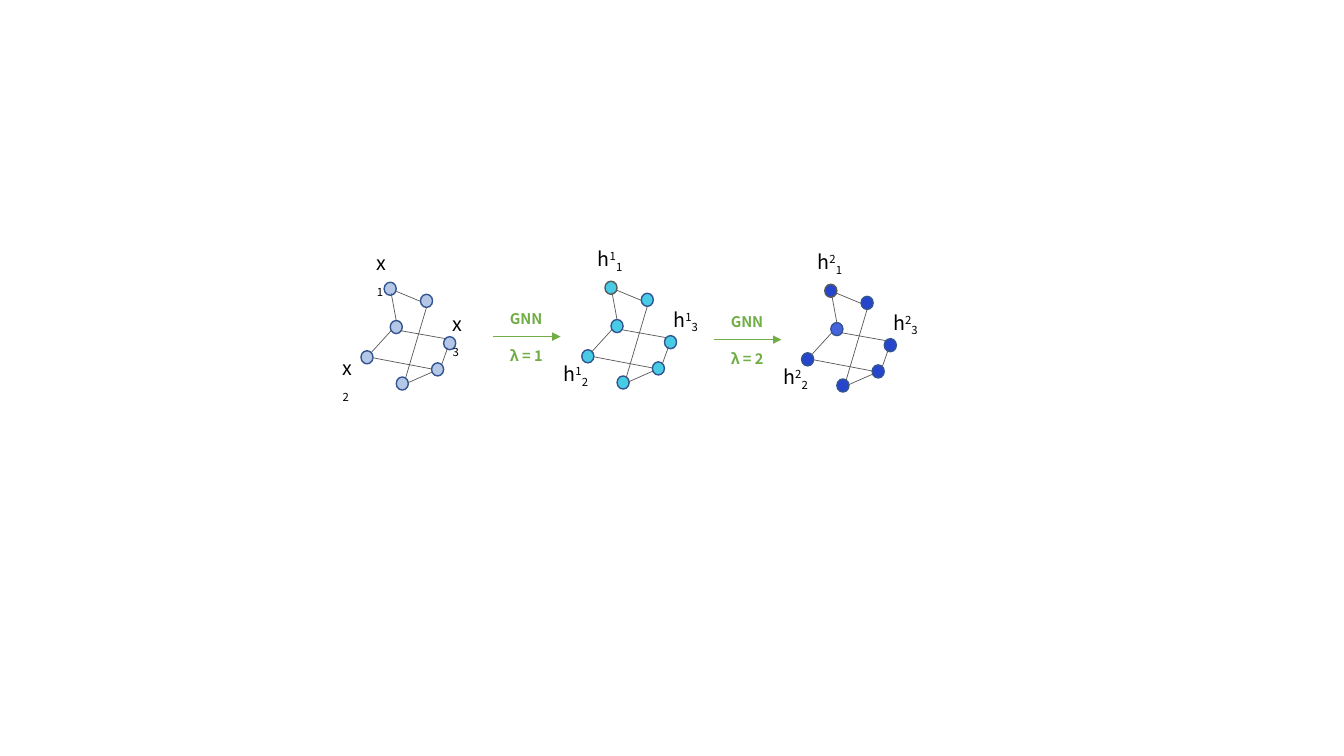
from dataclasses import dataclass

from pptx import Presentation
from pptx import util as u
from pptx.dml.color import RGBColor
from pptx.enum import shapes, text
from pptx.oxml.ns import qn
from lxml import etree


@dataclass(frozen=True)
class Theme:
    """Colours, font and type sizes of the slide."""
    font: str = "Noto Sans CJK SC"
    ink: str = "000000"
    edge: str = "595959"
    outline: str = "325491"
    step: str = "70AD47"
    input_node: str = "B4C7E7"
    first_layer: str = "48CCE6"
    second_layer: str = "2545CD"
    second_layer_light: str = "4663DE"
    label_size: float = 14
    label_leading: float = 17
    step_size: float = 10.5
    step_leading: float = 13


THEME = Theme()
NODE_SIZE = (0.12, 0.13)
SUPERSCRIPT, SUBSCRIPT = 30000, -25000

# Offsets from the top left of each graph's first node.
NODES = [(0, 0), (0.36, 0.12), (0.06, 0.38), (0.59, 0.54),
         (-0.23, 0.68), (0.47, 0.8), (0.12, 0.94)]
EDGES = [((0.12, 0.09), (0.36, 0.19)), ((0.07, 0.11), (0.12, 0.38)),
         ((-0.13, 0.7), (0.07, 0.48)), ((0.57, 0.82), (0.63, 0.65)),
         ((0.23, 1.0), (0.48, 0.89)), ((-0.11, 0.75), (0.47, 0.86)),
         ((0.21, 0.96), (0.42, 0.25)), ((0.16, 0.48), (0.61, 0.56))]


def add_node(slide, left, top, fill, outline):
    """Draw one graph node."""
    width, height = NODE_SIZE
    node = slide.shapes.add_shape(
        shapes.MSO_SHAPE.OVAL, u.Inches(left), u.Inches(top),
        u.Inches(width), u.Inches(height))
    node.shadow.inherit = False
    node.fill.solid()
    node.fill.fore_color.rgb = RGBColor.from_string(fill)
    node.line.color.rgb = RGBColor.from_string(outline)
    node.line.width = u.Pt(1)


def add_line(slide, start, end, color, arrow=False):
    """Draw a thin straight line, with an arrowhead at its end if asked."""
    line = slide.shapes.add_connector(
        shapes.MSO_CONNECTOR.STRAIGHT,
        *(u.Inches(value) for value in (*start, *end)))
    line.line.color.rgb = RGBColor.from_string(color)
    line.line.width = u.Pt(0.5)
    if arrow:
        outline = line.line._get_or_add_ln()
        etree.SubElement(outline, qn("a:tailEnd"), type="triangle")
    etree.SubElement(line._element.spPr, qn("a:effectLst"))


def add_text_box(slide, left, top, width, height, wrap=False):
    """Add an empty text box and return its text frame."""
    box = slide.shapes.add_textbox(
        *(u.Inches(value) for value in (left, top, width, height)))
    box.text_frame.word_wrap = wrap
    box.text_frame.auto_size = text.MSO_AUTO_SIZE.NONE
    return box.text_frame


def format_run(run, size, color, bold=False):
    """Apply font, size and colour to a run."""
    run.font.name = THEME.font
    run.font.size = u.Pt(size)
    run.font.bold = bold
    run.font.color.rgb = RGBColor.from_string(color)


def add_node_label(slide, left, top, layer, index):
    """Write x with an index, or h with a layer and an index."""
    # The narrow input labels drop their index to a second line.
    width = 0.45 if layer else 0.33
    frame = add_text_box(slide, left, top, width, 0.34, wrap=not layer)
    paragraph = frame.paragraphs[0]
    paragraph.line_spacing = u.Pt(THEME.label_leading)
    parts = [("h", 0), (str(layer), SUPERSCRIPT)] if layer else [("x", 0)]
    for content, baseline in parts + [(str(index), SUBSCRIPT)]:
        run = paragraph.add_run()
        run.text = content
        format_run(run, THEME.label_size, THEME.ink)
        if baseline:
            run.font._element.set("baseline", str(baseline))


def add_graph(slide, left, top, layer, fills, first_outline, second_label_top):
    """Draw one state of the graph with its nodes, edges and labels."""
    for index, ((x, y), fill) in enumerate(zip(NODES, fills)):
        outline = THEME.outline if index else first_outline
        add_node(slide, left + x, top + y, fill, outline)
    for (x1, y1), (x2, y2) in EDGES:
        add_line(slide, (left + x1, top + y1), (left + x2, top + y2), THEME.edge)
    labels = [(-0.17, -0.36), (-0.51, second_label_top), (0.58, 0.24)]
    for index, (x, y) in enumerate(labels, start=1):
        add_node_label(slide, left + x, top + y, layer, index)


def add_step(slide, left, middle, number):
    """Draw the arrow of one GNN step with its caption."""
    add_line(slide, (left, middle), (left + 0.67, middle), THEME.step, arrow=True)
    frame = add_text_box(slide, left + 0.07, middle - 0.32, 0.54, 0.63)
    frame.text = f"GNN\nλ = {number}"
    frame.paragraphs[1].space_before = u.Pt(THEME.step_leading)
    for paragraph in frame.paragraphs:
        paragraph.line_spacing = u.Pt(THEME.step_leading)
        format_run(paragraph.runs[0], THEME.step_size, THEME.step, bold=True)


def main():
    """Build the slide and save it."""
    presentation = Presentation()
    presentation.slide_width = u.Inches(13.33)
    presentation.slide_height = u.Inches(7.5)
    slide = presentation.slides.add_slide(presentation.slide_layouts[6])

    count = len(NODES)
    second_fills = [THEME.second_layer] * count
    second_fills[2] = THEME.second_layer_light

    add_graph(slide, 3.81, 2.8, 0, [THEME.input_node] * count, THEME.outline, 0.68)
    add_step(slide, 4.89, 3.34, 1)
    add_graph(slide, 6, 2.79, 1, [THEME.first_layer] * count, THEME.edge, 0.78)
    add_step(slide, 7.08, 3.37, 2)
    add_graph(slide, 8.18, 2.82, 2, second_fills, THEME.edge, 0.78)

    presentation.save("out.pptx")


main()
